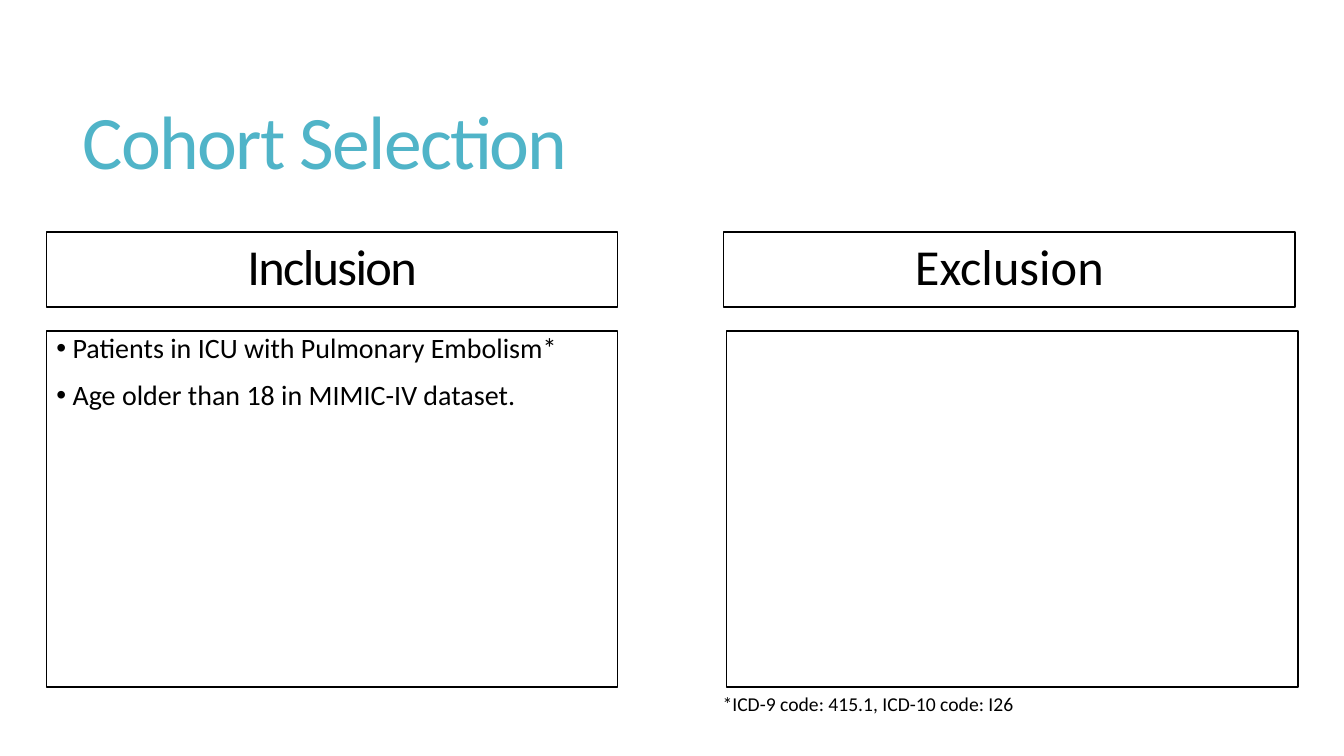
import pptx
import pptx.dml.color
import pptx.enum.shapes
import pptx.enum.text
import pptx.oxml.ns
import pptx.util
from lxml import etree
from pptx.util import Cm, Pt

COLORS = {"title": "50B4C8", "ink": "000000", "panel": "FFFFFF"}
ALIGN = pptx.enum.text.PP_ALIGN
ANCHOR = pptx.enum.text.MSO_ANCHOR


def rgb(name):
    return pptx.dml.color.RGBColor.from_string(COLORS[name])


def write(paragraph, text, size, color="ink", tracking=0, line_spacing=1.0, align=ALIGN.LEFT):
    """Add one styled run; tracking is in points."""
    paragraph.alignment = align
    paragraph.line_spacing = line_spacing
    run = paragraph.add_run()
    run.text = text
    run.font.name = "Calibri"
    run.font.size = Pt(size)
    run.font.color.rgb = rgb(color)
    if tracking:
        run.font._element.set("spc", str(round(tracking * 100)))


deck = pptx.Presentation()
deck.slide_width = Cm(33.87)
deck.slide_height = Cm(19.05)
slide = deck.slides.add_slide(deck.slide_layouts[6])

title = slide.shapes.add_textbox(Cm(1.83), Cm(1.4), Cm(29.92), Cm(4.6)).text_frame
title.word_wrap = True
title.vertical_anchor = ANCHOR.MIDDLE
write(title.paragraphs[0], "Cohort Selection", 54, "title", -1.2, 0.85)

# Heading, heading left, criteria left, tracking, line spacing, criteria
columns = [
    ("Inclusion", 1.17, 1.17, -1.2, 0.85,
     [" Patients in ICU with Pulmonary Embolism*", " Age older than 18 in MIMIC-IV dataset."]),
    ("Exclusion", 18.24, 18.31, 0, 0.9, []),
]
for heading, heading_left, criteria_left, tracking, spacing, criteria in columns:
    frames = []
    for left, top, height, anchor in [
        (heading_left, 5.85, 1.89, ANCHOR.MIDDLE),
        (criteria_left, 8.34, 8.97, ANCHOR.TOP),
    ]:
        panel = slide.shapes.add_shape(
            pptx.enum.shapes.MSO_SHAPE.RECTANGLE, Cm(left), Cm(top), Cm(14.4), Cm(height))
        panel.shadow.inherit = False
        panel.fill.solid()
        panel.fill.fore_color.rgb = rgb("panel")
        panel.line.color.rgb = rgb("ink")
        panel.line.width = Pt(1)
        panel.text_frame.word_wrap = True
        panel.text_frame.vertical_anchor = anchor
        frames.append(panel.text_frame)

    heading_frame, criteria_frame = frames
    write(heading_frame.paragraphs[0], heading, 36, "ink", tracking, spacing, ALIGN.CENTER)

    for index, criterion in enumerate(criteria):
        item = criteria_frame.add_paragraph() if index else criteria_frame.paragraphs[0]
        write(item, criterion, 20, line_spacing=0.85)
        item.space_before = Pt(13)
        properties = item._p.get_or_add_pPr()
        properties.set("marL", str(Cm(0.25)))
        properties.set("indent", str(-Cm(0.25)))
        bullet_font = etree.SubElement(properties, pptx.oxml.ns.qn("a:buFont"))
        bullet_font.set("typeface", "Arial")
        bullet = etree.SubElement(properties, pptx.oxml.ns.qn("a:buChar"))
        bullet.set("char", "•")

footnote = slide.shapes.add_textbox(Cm(17.96), Cm(17.3), Cm(12.83), Cm(0.86)).text_frame
footnote.word_wrap = True
footnote.auto_size = pptx.enum.text.MSO_AUTO_SIZE.SHAPE_TO_FIT_TEXT
write(footnote.paragraphs[0], "*ICD-9 code: 415.1, ICD-10 code: I26", 14)

deck.save("out.pptx")
